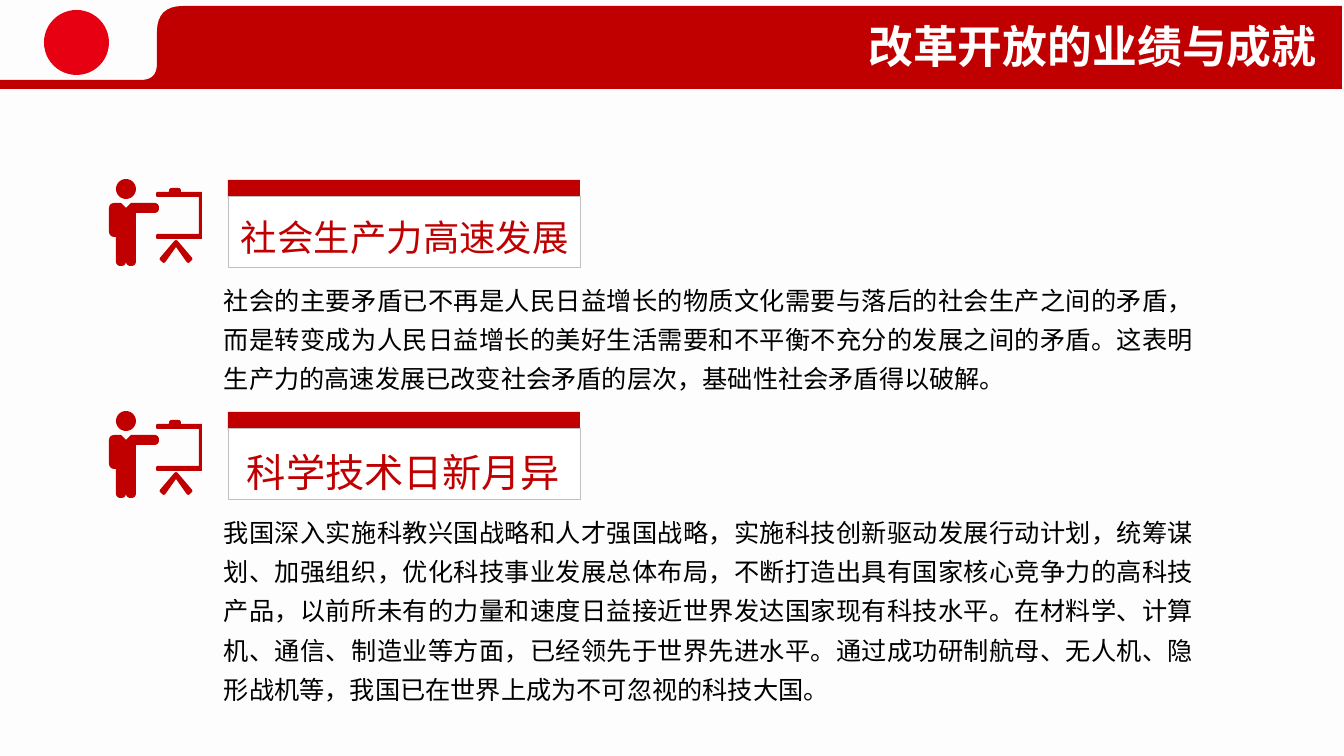
from pptx import Presentation
from pptx.dml.color import RGBColor
from pptx.enum.shapes import MSO_SHAPE
from pptx.enum.text import MSO_ANCHOR, MSO_AUTO_SIZE, PP_ALIGN
from pptx.oxml.ns import qn
from pptx.util import Emu, Pt
from lxml.etree import SubElement
from math import hypot

COLORS = {"red": "C00000", "emblem": "E60012", "white": "FFFFFF",
          "border": "BFBFBF", "text": "000000", "background": "FDFDFD"}
FONT = "Noto Sans CJK SC"
WIDTH, HEIGHT = 1344, 756
SCALE = 12192000 / WIDTH
CURVE_STEPS = 8

BANNER = [(157, 6, 26), (1342, 6, 0), (1342, 89, 0), (0, 89, 0), (0, 80, 0), (157, 80, 16)]
BODY = [(22, 24, 0), (17, 29, 0), (12, 24, 0), (0, 24, 6), (0, 58, 6), (7, 58, 0),
        (7, 87, 5), (17, 87, 5), (17, 82, 0), (17, 87, 5), (27, 87, 5), (27, 34, 0),
        (50, 34, 5), (50, 24, 5)]
BOARD = [(47, 13, 2), (60, 13, 0), (60, 9, 3), (72, 9, 3), (72, 13, 0), (93, 13, 0),
         (93, 60, 0), (47, 60, 2), (47, 55, 2), (90, 55, 0), (90, 18, 0), (47, 18, 2)]
LEGS = [(67, 60, 3), (84, 80, 2), (79, 85, 3), (67, 68, 0), (55, 85, 3), (50, 80, 2)]

SECTIONS = [
    dict(top=180, heading="社会生产力高速发展", size=26, left=229, height=124,
         text="社会的主要矛盾已不再是人民日益增长的物质文化需要与落后的社会生产之间的矛盾，"
              "而是转变成为人民日益增长的美好生活需要和不平衡不充分的发展之间的矛盾。"
              "这表明生产力的高速发展已改变社会矛盾的层次，基础性社会矛盾得以破解。"),
    dict(top=412, heading="科学技术日新月异", size=28, left=235, height=204,
         text="我国深入实施科教兴国战略和人才强国战略，实施科技创新驱动发展行动计划，"
              "统筹谋划、加强组织，优化科技事业发展总体布局，不断打造出具有国家核心竞争力的高科技产品，"
              "以前所未有的力量和速度日益接近世界发达国家现有科技水平。"
              "在材料学、计算机、通信、制造业等方面，已经领先于世界先进水平。"
              "通过成功研制航母、无人机、隐形战机等，我国已在世界上成为不可忽视的科技大国。"),
]


def px(value):
    """Turn pixels into EMU."""
    return Emu(round(value * SCALE))


def rgb(name):
    """Look up a named colour."""
    return RGBColor.from_string(COLORS[name])


def toward(start, goal, distance):
    """Return the point at a distance from start in the direction of goal."""
    share = distance / hypot(goal[0] - start[0], goal[1] - start[1])
    return tuple(start[axis] + share * (goal[axis] - start[axis]) for axis in (0, 1))


def round_corners(corners):
    """Replace each (x, y, radius) corner by points along a curve."""
    points = []
    for index, corner in enumerate(corners):
        if not corner[2]:
            points.append(corner[:2])
            continue
        enter = toward(corner, corners[index - 1], corner[2])
        leave = toward(corner, corners[(index + 1) % len(corners)], corner[2])
        for step in range(CURVE_STEPS + 1):
            t = step / CURVE_STEPS
            points.append(tuple((1 - t) ** 2 * enter[axis] + 2 * t * (1 - t) * corner[axis]
                                + t ** 2 * leave[axis] for axis in (0, 1)))
    return points


def write(frame, text, size=18, color="text", bold=False, align=PP_ALIGN.LEFT,
          spacing=1.0, anchor=MSO_ANCHOR.TOP):
    """Fill a text frame with one formatted paragraph."""
    frame.word_wrap = True
    frame.auto_size = MSO_AUTO_SIZE.NONE
    frame.vertical_anchor = anchor
    para = frame.paragraphs[0]
    para.alignment = align
    para.line_spacing = spacing
    span = para.add_run()
    span.text = text
    span.font.size = Pt(size)
    span.font.bold = bold
    span.font.color.rgb = rgb(color)
    span.font.name = FONT
    SubElement(span.font._element, qn("a:ea"), typeface=FONT)


class Painter:
    """Holds the current slide and draws its elements."""

    def __init__(self, page):
        """Keep the slide and set its background."""
        self.page = page
        page.background.fill.solid()
        page.background.fill.fore_color.rgb = rgb("background")

    def paint(self, shape, fill, line=None):
        """Give a shape its fill and line."""
        shape.shadow.inherit = False
        shape.fill.solid()
        shape.fill.fore_color.rgb = rgb(fill)
        if line:
            shape.line.color.rgb = rgb(line)
            shape.line.width = Pt(0.25)
        else:
            shape.line.fill.background()
        return shape

    def shape(self, kind, left, top, width, height, fill, line=None, parent=None):
        """Draw a preset shape."""
        shapes = (parent or self.page).shapes
        box = shapes.add_shape(kind, px(left), px(top), px(width), px(height))
        return self.paint(box, fill, line)

    def outline(self, corners, fill, left=0, top=0, parent=None):
        """Draw a closed outline with rounded corners."""
        points = [(px(left + x), px(top + y)) for x, y in round_corners(corners)]
        builder = (parent or self.page).shapes.build_freeform(*points[0])
        builder.add_line_segments(points[1:], close=True)
        return self.paint(builder.convert_to_shape(), fill)

    def title(self, text, banner):
        """Place the title on the banner."""
        title = self.page.shapes.title
        banner.element.addnext(title.element)
        title.left, title.top, title.width, title.height = map(px, (482, 13, 845, 65))
        write(title.text_frame, text, size=32, color="white", bold=True,
              align=PP_ALIGN.RIGHT, anchor=MSO_ANCHOR.MIDDLE)

    def text(self, text, left, top, width, height, **style):
        """Add a text box."""
        box = self.page.shapes.add_textbox(px(left), px(top), px(width), px(height))
        write(box.text_frame, text, **style)
        return box

    def presenter(self, left, top):
        """Draw the icon of a speaker beside a board."""
        group = self.page.shapes.add_group_shape()
        self.shape(MSO_SHAPE.OVAL, left + 7, top, 20, 20, "red", parent=group)
        for corners in (BODY, BOARD, LEGS):
            self.outline(corners, "red", left, top, parent=group)

    def section(self, top, heading, size, left, text, height):
        """Draw an icon, a heading card and the paragraph below."""
        self.shape(MSO_SHAPE.RECTANGLE, 228, top, 352, 18, "red")
        self.shape(MSO_SHAPE.RECTANGLE, 228, top + 16, 352, 71, "white", "border")
        box = self.text(heading, left, top + 7, 373, 73, size=size, color="red", spacing=1.5)
        frame = box.text_frame
        frame.margin_left = frame.margin_right = px(12)
        frame.margin_top = frame.margin_bottom = px(6)
        self.presenter(109, top - 1)
        self.text(text, 214, top + 91, 990, height, align=PP_ALIGN.JUSTIFY, spacing=1.3)


def main():
    """Build and save the deck."""
    deck = Presentation()
    deck.slide_width, deck.slide_height = px(WIDTH), px(HEIGHT)
    painter = Painter(deck.slides.add_slide(deck.slide_layouts[5]))
    painter.shape(MSO_SHAPE.OVAL, 44, 10, 65, 65, "emblem")
    painter.title("改革开放的业绩与成就", painter.outline(BANNER, "red"))
    for section in SECTIONS:
        painter.section(**section)
    deck.save("out.pptx")


if __name__ == "__main__":
    main()
